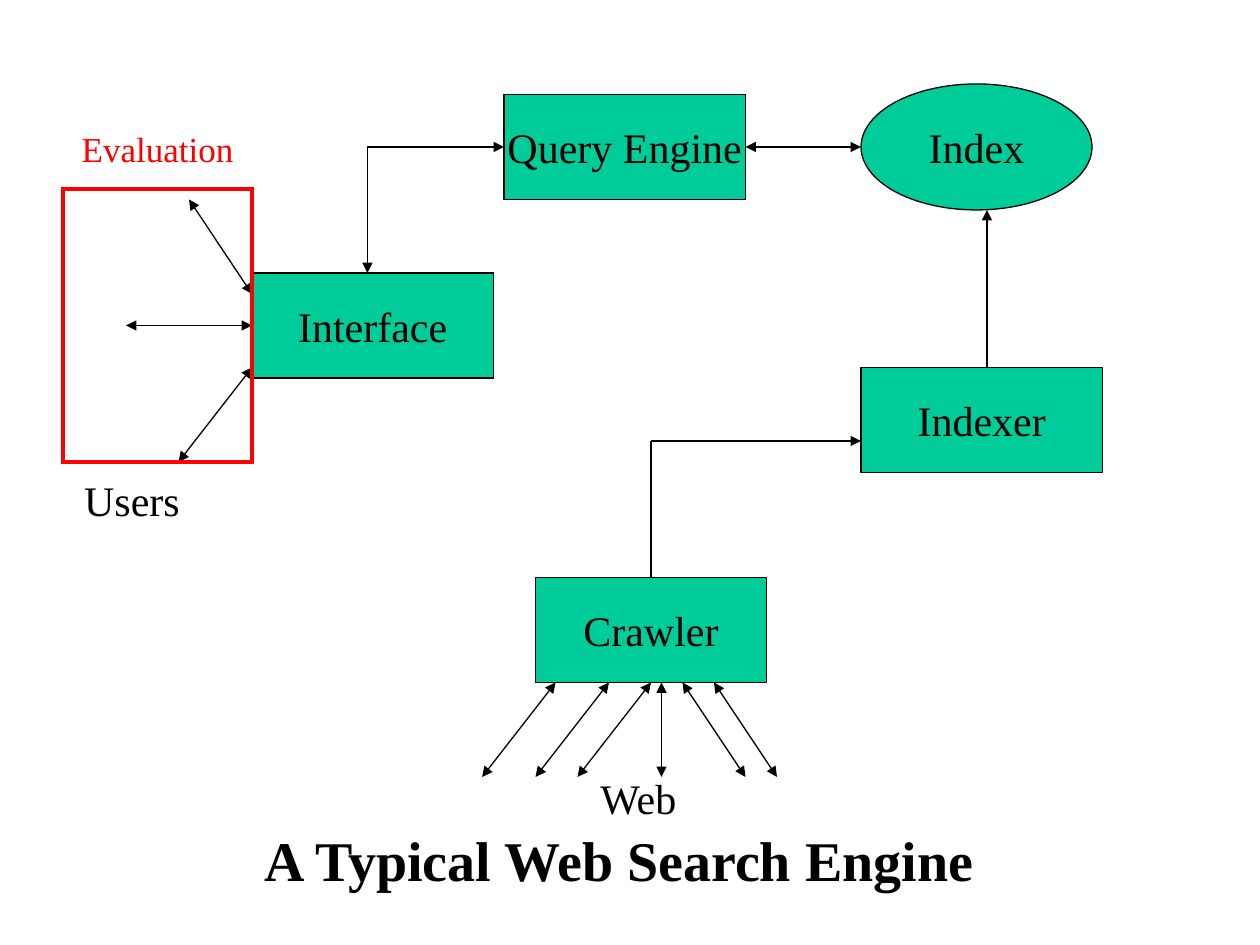
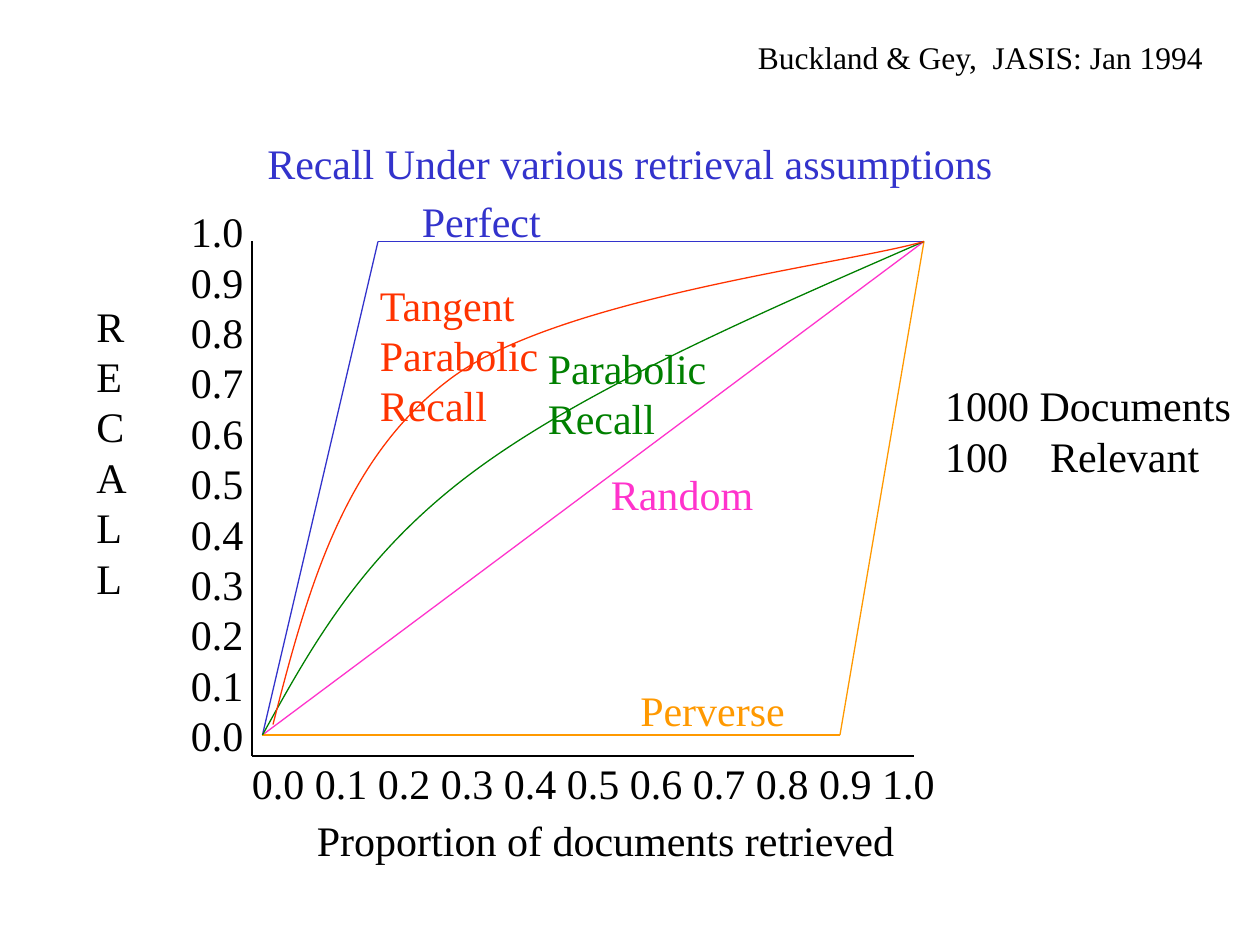
from dataclasses import dataclass
from pptx import Presentation
from pptx.dml.color import RGBColor as Rgb
from pptx.enum.shapes import MSO_CONNECTOR as Conn, MSO_SHAPE as Form
from pptx.enum.text import MSO_ANCHOR as Anchor, MSO_AUTO_SIZE as Fit, PP_ALIGN as Align
from pptx.oxml.ns import qn
from pptx.oxml.xmlchemy import OxmlElement as Node
from pptx.util import Pt


@dataclass(frozen=True)
class Theme:
    font: str = "Times New Roman"
    ink: str = "000000"
    box: str = "00CC99"
    alert: str = "FF0000"
    blue: str = "3333CC"
    pink: str = "FF33CC"
    gold: str = "FF9900"
    green: str = "008000"
    flame: str = "FF3300"
    large: int = 32
    body: int = 24
    small: int = 20
    fine: int = 18
    thin: float = 0.75
    thick: float = 2.25
    lead: float = 1.2


T = Theme()
TOP, LEFT, BASE, RIGHT = range(4)


# Text
def style(frame, size=T.body, color=T.ink, align=Align.LEFT, bold=False):
    for para in frame.paragraphs:
        para.alignment = align
        para.line_spacing = Pt(round(size * T.lead, 2))
        font = para.font
        font.name, font.size, font.bold = T.font, Pt(size), bold
        font.color.rgb = Rgb.from_string(color)


def note(slide, text, x, y, wide, color=T.ink, size=T.body, wrap=False):
    high = (text.count("\n") + 1) * size * T.lead + 7.2
    box = slide.shapes.add_textbox(Pt(x), Pt(y), Pt(wide), Pt(high))
    frame = box.text_frame
    frame.text = text
    frame.word_wrap = wrap
    frame.auto_size = Fit.SHAPE_TO_FIT_TEXT
    style(frame, size, color)
    return frame


def set_tab(para, place):
    tabs, stop = Node("a:tabLst"), Node("a:tab")
    stop.set("pos", str(Pt(place)))
    stop.set("algn", "l")
    tabs.append(stop)
    para._p.pPr.find(qn("a:defRPr")).addprevious(tabs)


def head(slide, text, area, anchor, **look):
    title = slide.shapes.title
    title.left, title.top, title.width, title.height = map(Pt, area)
    frame = title.text_frame
    frame.text = text
    frame.word_wrap = True
    frame.auto_size = Fit.NONE
    frame.vertical_anchor = anchor
    style(frame, **look)


# Shapes and lines
def trim(shape, color, width=T.thin):
    shape.line.color.rgb = Rgb.from_string(color)
    shape.line.width = Pt(width)


def block(slide, text, x, y, wide=138, high=60, form=Form.RECTANGLE):
    shape = slide.shapes.add_shape(form, Pt(x), Pt(y), Pt(wide), Pt(high))
    shape.shadow.inherit = False
    shape.fill.solid()
    shape.fill.fore_color.rgb = Rgb.from_string(T.box)
    trim(shape, T.ink)
    frame = shape.text_frame
    frame.text = text
    frame.word_wrap = False
    frame.vertical_anchor = Anchor.MIDDLE
    style(frame, align=Align.CENTER)
    return shape


def link(slide, start, stop, color=T.ink, tips="", begin=None, end=None):
    """Draw a line; tips names its arrow ends, begin and end are (shape, side)."""
    line = slide.shapes.add_connector(Conn.STRAIGHT, *map(Pt, start + stop))
    trim(line, color)
    if begin:
        line.begin_connect(*begin)
    if end:
        line.end_connect(*end)
    props = line._element.spPr
    for tip in tips.split():
        mark = Node(f"a:{tip}End")
        mark.set("type", "triangle")
        props.find(qn("a:ln")).append(mark)
    props.append(Node("a:effectLst"))


def curve(slide, dots, color):
    """Draw a Bezier curve: a start, then two controls and an end per part."""
    dots = [(Pt(x), Pt(y)) for x, y in dots]
    build = slide.shapes.build_freeform(*dots[0])
    build.add_line_segments(dots[1:], close=False)
    shape = build.convert_to_shape()
    shape.shadow.inherit = False
    shape.fill.background()
    trim(shape, color)
    lines = list(shape._element.iter(qn("a:lnTo")))
    for i in range(0, len(lines), 3):
        bend = Node("a:cubicBezTo")
        lines[i].addprevious(bend)
        for line in lines[i:i + 3]:
            bend.append(line[0])
            line.getparent().remove(line)


# Slide 1: parts of a search engine
def engine(slide):
    head(slide, "A Typical Web Search Engine", (144, 468, 427, 46), Anchor.TOP,
         size=T.large, bold=True)
    face = block(slide, "Interface", 144, 156)
    query = block(slide, "Query Engine", 288, 54)
    block(slide, "Indexer", 492, 210)
    block(slide, "Index", 492, 48, 132, 72, Form.OVAL)
    crawl = block(slide, "Crawler", 306, 330, 132)

    # Crawler to the web
    for near, far in ((317.5, 275.5), (408, 444), (348, 306),
                      (372, 330), (390, 426), (378, 378)):
        glue = (crawl, BASE) if near == 372 else None
        link(slide, (near, 390), (far, 444), tips="head tail", begin=glue)

    # Crawler to indexer to index
    link(slide, (372, 330), (372, 252), begin=(crawl, TOP))
    link(slide, (372, 252), (492, 252), tips="tail")
    link(slide, (564, 210), (564, 120), tips="tail")

    # Query engine to index and interface
    link(slide, (426, 84), (492, 84), tips="head tail", begin=(query, RIGHT))
    link(slide, (210, 84), (288, 84), tips="tail", end=(query, LEFT))
    link(slide, (210, 84), (210, 156), tips="tail")

    # Interface to users
    link(slide, (144, 210), (102, 264), tips="head tail")
    link(slide, (108, 114), (144, 168), tips="head tail")
    link(slide, (144, 186), (72, 186), tips="head tail", begin=(face, LEFT))
    note(slide, "Users", 41, 267.4, 69)
    note(slide, "Web", 336, 438, 60)

    # Evaluation frame
    frame = slide.shapes.add_shape(Form.RECTANGLE, Pt(36), Pt(108), Pt(108), Pt(156))
    frame.shadow.inherit = False
    frame.fill.background()
    trim(frame, T.alert, T.thick)
    frame._element.spPr.find(qn("a:ln")).append(Node("a:miter"))
    note(slide, "Evaluation", 39.6, 69.4, 101, T.alert, T.small)


# Slide 2: recall curves
def recall(slide):
    head(slide, "Recall Under various retrieval assumptions", (54, 48, 612, 90),
         Anchor.MIDDLE, color=T.blue, align=Align.CENTER)
    note(slide, "Buckland & Gey,  JASIS: Jan 1994", 426, 18, 276,
         size=T.fine, wrap=True)

    # Axes
    marks = [f"{i / 10:.1f}" for i in range(11)]
    link(slide, (144, 138), (144, 432))
    link(slide, (144, 432), (522, 432))
    note(slide, "\n".join(reversed(marks)), 102, 114, 46)
    note(slide, "\n".join("RECALL"), 48, 168, 33)
    note(slide, " ".join(marks), 136.8, 429.4, 408)
    note(slide, "Proportion of documents retrieved", 174, 462, 348)

    # Straight cases
    zero, full, peak, floor = (150, 420), (528, 138), (216, 138), (480, 420)
    for start, stop, color in ((zero, full, T.pink),
                               (zero, peak, T.blue), (peak, full, T.blue),
                               (zero, floor, T.gold), (floor, full, T.gold)):
        link(slide, start, stop, color)

    # Curved cases
    curve(slide, (zero, (178.5, 368.5), (207, 317), (270, 270),
                  (333, 223), (430.5, 180.5), full), T.green)
    curve(slide, ((156, 414), (175.5, 338), (196, 262), (258, 216),
                  (320, 170), (483, 151), full), T.flame)

    # Labels
    for text, x, y, wide, color in (
            ("Random", 342, 264, 98, T.pink),
            ("Perfect", 234, 108, 84, T.blue),
            ("Perverse", 358.8, 387.4, 99, T.gold),
            ("Tangent\nParabolic\nRecall", 210, 156, 107, T.flame),
            ("Parabolic\nRecall", 306, 192, 107, T.green)):
        note(slide, text, x, y, wide, color)
    count = note(slide, "1000 Documents\n100\tRelevant", 533, 213.4, 180)
    set_tab(count.paragraphs[1], 60)


def main():
    deck = Presentation()
    deck.slide_width, deck.slide_height = Pt(720), Pt(540)
    for draw in (engine, recall):
        draw(deck.slides.add_slide(deck.slide_layouts[5]))
    deck.save("out.pptx")


if __name__ == "__main__":
    main()
